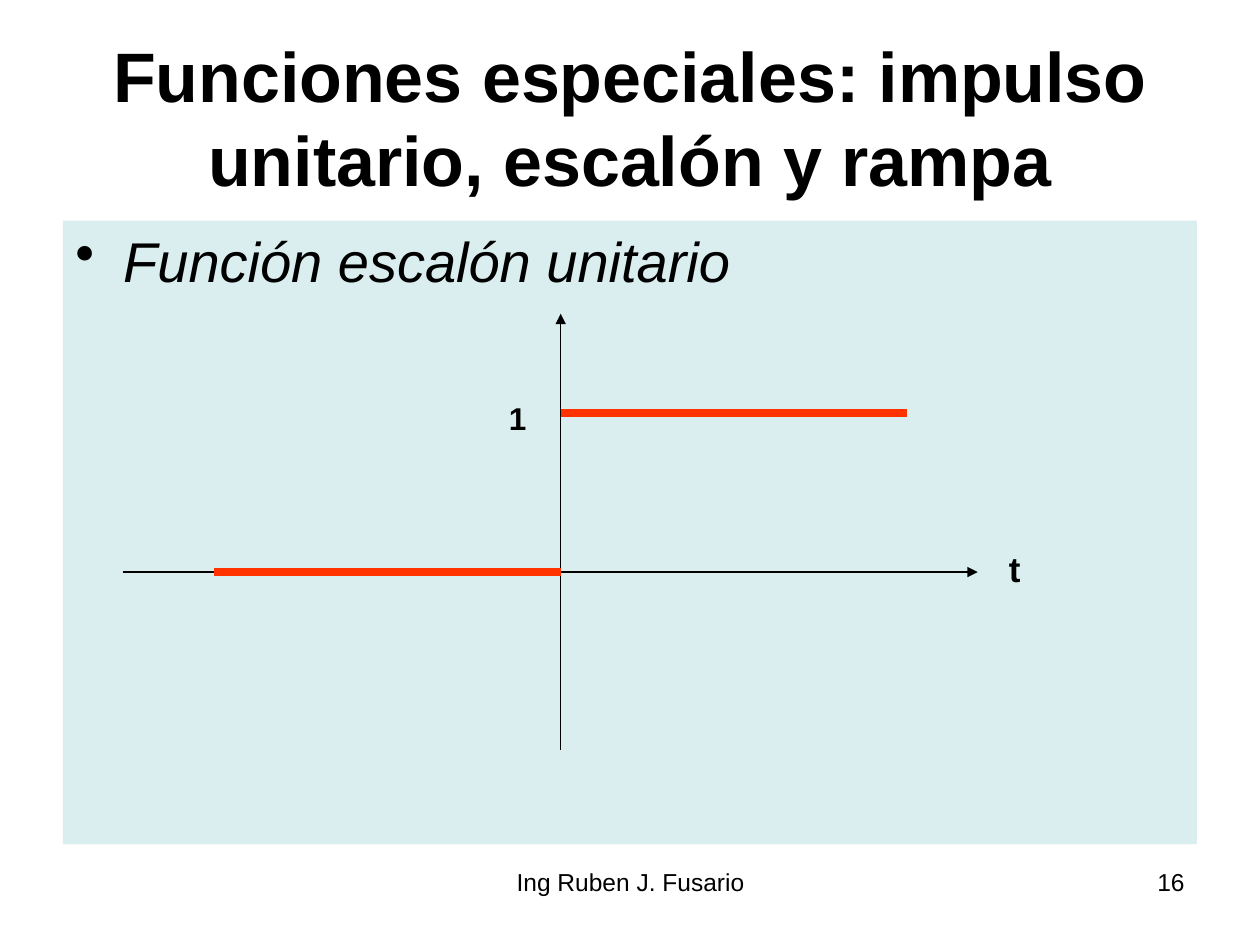
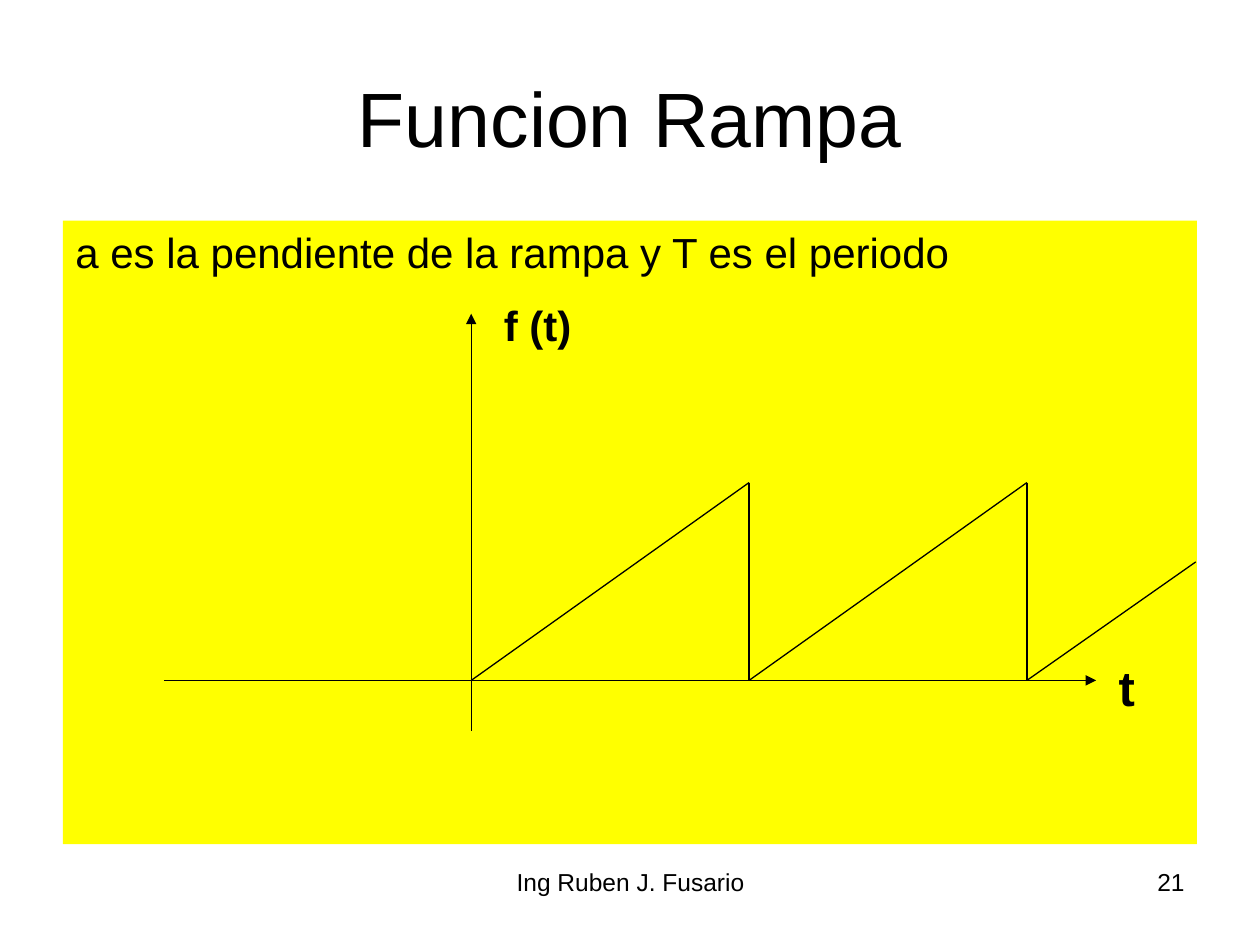
from dataclasses import dataclass

from lxml import etree
from pptx import Presentation
from pptx.dml.color import RGBColor
from pptx.enum.shapes import MSO_CONNECTOR, MSO_SHAPE
from pptx.enum.text import MSO_ANCHOR, PP_ALIGN
from pptx.oxml.ns import qn
from pptx.util import Inches, Pt

STRAIGHT = MSO_CONNECTOR.STRAIGHT
RECTANGLE = MSO_SHAPE.RECTANGLE
TOP, MIDDLE = MSO_ANCHOR.TOP, MSO_ANCHOR.MIDDLE
LEFT, CENTER, RIGHT = PP_ALIGN.LEFT, PP_ALIGN.CENTER, PP_ALIGN.RIGHT

FONT = "Arial"
BLACK = "000000"
PALE_BLUE = "DAEDEF"
YELLOW = "FFFF00"
RED = "FF3300"
AUTHOR = "Ing Ruben J. Fusario"
HANGING_INDENT = 0.38


@dataclass(frozen=True)
class Box:
    left: float
    top: float
    width: float
    height: float

    def lengths(self) -> list:
        return [Inches(v) for v in (self.left, self.top, self.width, self.height)]


@dataclass(frozen=True)
class Stroke:
    x1: float
    y1: float
    x2: float
    y2: float
    color: str = BLACK
    width: float = 0.75
    arrow: bool = False


@dataclass(frozen=True)
class Label:
    text: str
    box: Box
    size: float
    indent: float = 0


TITLE_BOX = Box(0.5, 0.3, 9, 1.25)
PANEL_BOX = Box(0.5, 1.75, 9, 4.95)
AUTHOR_BOX = Box(3.42, 6.83, 3.17, 0.52)
NUMBER_BOX = Box(7.17, 6.83, 2.33, 0.52)


def rgb(color: str) -> RGBColor:
    return RGBColor.from_string(color)


def write(shape, text: str, *, size: float, bold=False, italic=False,
          align=LEFT, anchor=TOP, indent=0.0, hanging=0.0, bullet=""):
    frame = shape.text_frame
    frame.word_wrap = True
    frame.vertical_anchor = anchor
    frame.margin_left = frame.margin_right = Inches(0.1)
    frame.margin_top = frame.margin_bottom = Inches(0.05)
    paragraph = frame.paragraphs[0]
    paragraph.alignment = align
    properties = paragraph._p.get_or_add_pPr()
    properties.set("marL", str(Inches(indent + hanging)))
    properties.set("indent", str(-Inches(hanging)))
    if bullet:
        etree.SubElement(properties, qn("a:buChar")).set("char", bullet)
    run = paragraph.add_run()
    run.text = text
    font = run.font
    font.name, font.size = FONT, Pt(size)
    font.bold, font.italic = bold, italic
    font.color.rgb = rgb(BLACK)


def add_text(slide, text: str, box: Box, **text_format):
    write(slide.shapes.add_textbox(*box.lengths()), text, **text_format)


def add_panel(slide, text: str, color: str, **text_format):
    panel = slide.shapes.add_shape(RECTANGLE, *PANEL_BOX.lengths())
    panel.shadow.inherit = False
    panel.fill.solid()
    panel.fill.fore_color.rgb = rgb(color)
    panel.line.fill.background()
    write(panel, text, hanging=HANGING_INDENT, **text_format)


def add_stroke(slide, stroke: Stroke):
    ends = (stroke.x1, stroke.y1, stroke.x2, stroke.y2)
    connector = slide.shapes.add_connector(STRAIGHT, *map(Inches, ends))
    connector.line.color.rgb = rgb(stroke.color)
    connector.line.width = Pt(stroke.width)
    if stroke.arrow:
        outline = connector.line._get_or_add_ln()
        etree.SubElement(outline, qn("a:tailEnd")).set("type", "triangle")
    etree.SubElement(connector._element.spPr, qn("a:effectLst"))


def add_plot(slide, strokes: list[Stroke], labels: list[Label]):
    for stroke in strokes:
        add_stroke(slide, stroke)
    for label in labels:
        add_text(slide, label.text, label.box, size=label.size,
                 indent=label.indent, bold=True)


def start_slide(deck, title: str, number: int, **title_format):
    slide = deck.slides.add_slide(deck.slide_layouts[6])
    add_text(slide, AUTHOR, AUTHOR_BOX, size=14, align=CENTER)
    add_text(slide, str(number), NUMBER_BOX, size=14, align=RIGHT)
    add_text(slide, title, TITLE_BOX, align=CENTER, anchor=MIDDLE, **title_format)
    return slide


def build_step_slide(deck):
    slide = start_slide(
        deck, "Funciones especiales: impulso unitario, escalón y rampa", 16,
        size=40, bold=True)
    add_panel(slide, "Función escalón unitario", PALE_BLUE,
              size=32, italic=True, bullet="•")
    origin_x, zero_y, one_y = 4.45, 4.54, 3.28
    reach = 2.75
    strokes = [
        Stroke(0.98, zero_y, 7.76, zero_y, arrow=True),
        Stroke(origin_x, 5.95, origin_x, 2.49, arrow=True),
        Stroke(origin_x - reach, zero_y, origin_x, zero_y, RED, 4.5),
        Stroke(origin_x, one_y, origin_x + reach, one_y, RED, 4.5),
    ]
    labels = [
        Label("1", Box(3.66, 3.12, 0.71, 0.4), 18, indent=0.28),
        Label("t", Box(7.91, 4.3, 0.87, 0.44), 20),
    ]
    add_plot(slide, strokes, labels)


def build_ramp_slide(deck):
    slide = start_slide(deck, "Funcion Rampa", 21, size=44)
    add_panel(slide, "a es la pendiente de la rampa y T es el periodo",
              YELLOW, size=24)
    origin_x, zero_y, peak_y = 3.74, 5.4, 3.83
    period = 2.205
    strokes = [
        Stroke(origin_x, 5.8, origin_x, 2.49, arrow=True),
        Stroke(1.3, zero_y, 8.7, zero_y, arrow=True),
    ]
    for cycle in range(2):
        start = origin_x + cycle * period
        end = start + period
        strokes += [Stroke(start, zero_y, end, peak_y),
                    Stroke(end, peak_y, end, zero_y)]
    strokes.append(Stroke(origin_x + 2 * period, zero_y, 9.49, 4.46))
    labels = [
        Label("f (t)", Box(3.9, 2.33, 0.87, 0.5), 24),
        Label("t", Box(8.78, 5.17, 0.39, 0.57), 28),
    ]
    add_plot(slide, strokes, labels)


def main():
    deck = Presentation()
    deck.slide_width, deck.slide_height = Inches(10), Inches(7.5)
    build_step_slide(deck)
    build_ramp_slide(deck)
    deck.save("out.pptx")


if __name__ == "__main__":
    main()
